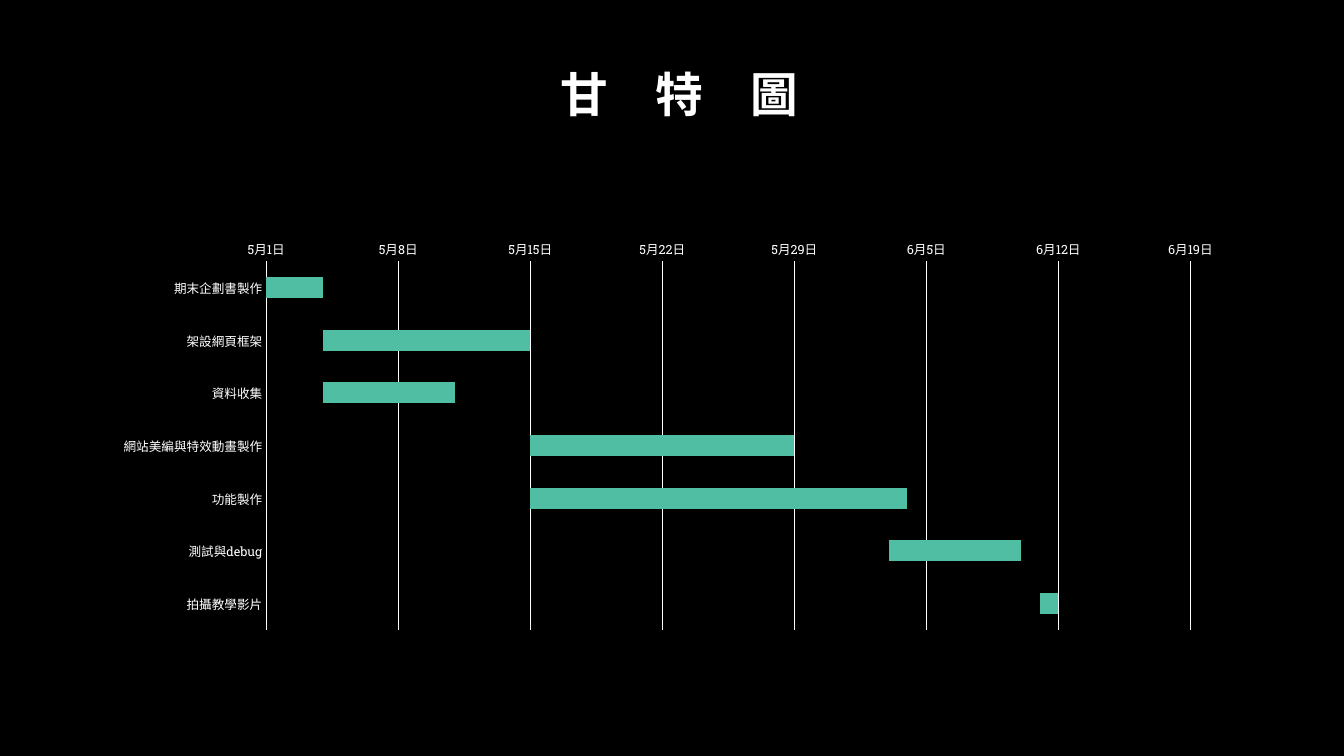
from lxml.etree import SubElement
from pptx import Presentation
from pptx.chart.data import CategoryChartData
from pptx.dml.color import RGBColor
from pptx.enum.chart import XL_CHART_TYPE, XL_TICK_MARK
from pptx.enum.text import MSO_ANCHOR, PP_ALIGN
from pptx.oxml.ns import qn
from pptx.util import Inches, Pt

TITLE = "甘　特　圖"
# Task, start in days after the first of May, length in days
TASKS = [
    ("期末企劃書製作", 0, 3),
    ("架設網頁框架", 3, 11),
    ("資料收集", 3, 7),
    ("網站美編與特效動畫製作", 14, 14),
    ("功能製作", 14, 20),
    ("測試與debug", 33, 7),
    ("拍攝教學影片", 41, 1),
]
FIRST_DAY = 45047  # serial date of the first of May
WEEK, WEEKS = 7, 7
DATE_FORMAT = 'm"月"d"日"'

FONT = "Roboto Slab"
BLACK = RGBColor(0x00, 0x00, 0x00)
WHITE = RGBColor(0xFF, 0xFF, 0xFF)
GREEN = RGBColor(0x50, 0xBE, 0xA3)

TITLE_BOX = [Inches(n) for n in (4.96, 0.58, 3.56, 0.76)]
CHART_BOX = [Inches(n) for n in (1, 2.29, 11.32, 4.04)]
PLOT_SHARES = {"x": 0.145, "y": 0.075, "w": 0.81, "h": 0.905}


def style_font(font, size, bold=False):
    font.name = FONT
    font.size = Pt(size)
    font.bold = bold
    font.color.rgb = WHITE


def style_line(line):
    line.color.rgb = WHITE
    line.width = Pt(0.75)


def add_title(slide):
    title = slide.shapes.title
    title.left, title.top, title.width, title.height = TITLE_BOX
    frame = title.text_frame
    frame.vertical_anchor = MSO_ANCHOR.MIDDLE
    frame.word_wrap = True
    paragraph = frame.paragraphs[0]
    paragraph.alignment = PP_ALIGN.CENTER
    paragraph.line_spacing = 0.9
    run = paragraph.add_run()
    run.text = TITLE
    style_font(run.font, 34, bold=True)


def place_plot(chart):
    """Fix the inner plot area as shares of the chart's size."""
    plot_area = chart._chartSpace.chart.plotArea
    layout = plot_area.find(qn("c:layout"))
    if layout is None:
        layout = SubElement(plot_area, qn("c:layout"))
        plot_area.insert(0, layout)
    manual = SubElement(layout, qn("c:manualLayout"))
    settings = {"layoutTarget": "inner", "xMode": "edge", "yMode": "edge", **PLOT_SHARES}
    for name, value in settings.items():
        SubElement(manual, qn(f"c:{name}")).set("val", str(value))


def add_gantt(slide):
    names, starts, lengths = zip(*TASKS)
    data = CategoryChartData()
    data.categories = names
    data.add_series("Series 1", [FIRST_DAY + start for start in starts])
    data.add_series("Series 2", lengths)
    chart = slide.shapes.add_chart(XL_CHART_TYPE.BAR_STACKED, *CHART_BOX, data).chart
    chart.has_legend = False
    chart.has_title = False
    style_font(chart.font, 10)
    place_plot(chart)

    plot = chart.plots[0]
    plot.gap_width = 150
    plot.overlap = 100
    plot.vary_by_categories = False
    offset, duration = plot.series
    offset.format.fill.background()
    offset.format.line.fill.background()
    duration.format.fill.solid()
    duration.format.fill.fore_color.rgb = GREEN

    tasks, dates = chart.category_axis, chart.value_axis
    for axis in (tasks, dates):
        axis.major_tick_mark = axis.minor_tick_mark = XL_TICK_MARK.NONE
        style_font(axis.tick_labels.font, 9)
    tasks.reverse_order = True
    tasks.has_major_gridlines = False
    style_line(tasks.format.line)
    dates.minimum_scale = FIRST_DAY
    dates.maximum_scale = FIRST_DAY + WEEK * WEEKS
    dates.major_unit = WEEK
    dates.has_major_gridlines = True
    style_line(dates.major_gridlines.format.line)
    dates.format.line.fill.background()
    dates.tick_labels.number_format = DATE_FORMAT
    dates.tick_labels.number_format_is_linked = False


def main():
    presentation = Presentation()
    presentation.slide_width = Inches(13.333)
    presentation.slide_height = Inches(7.5)
    slide = presentation.slides.add_slide(presentation.slide_layouts[5])
    slide.background.fill.solid()
    slide.background.fill.fore_color.rgb = BLACK
    add_title(slide)
    add_gantt(slide)
    presentation.save("out.pptx")


if __name__ == "__main__":
    main()
